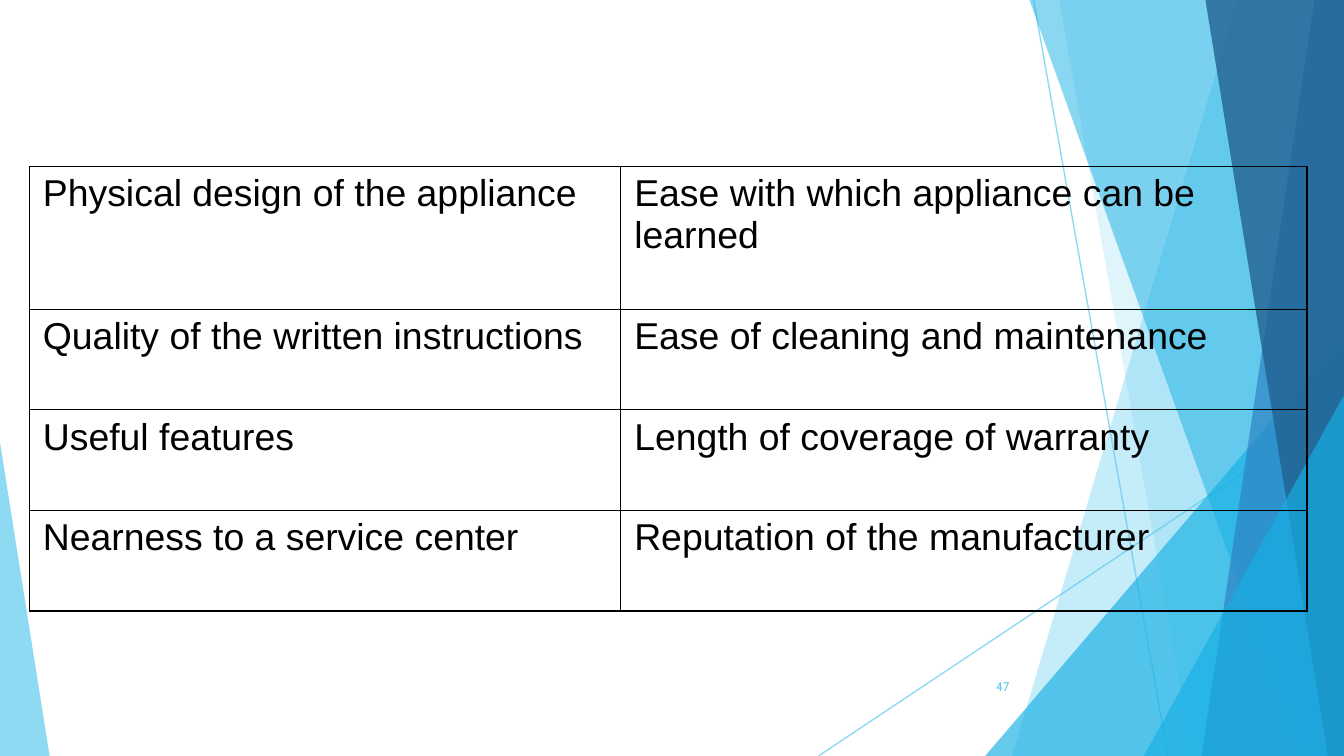
"""Build a slide with an appliance buying checklist over a faceted background."""
from dataclasses import dataclass

from lxml.etree import SubElement
from pptx import Presentation
from pptx.dml.color import RGBColor as Rgb
from pptx.enum.shapes import MSO_CONNECTOR as Connector
from pptx.enum.shapes import MSO_SHAPE as Shape
from pptx.enum.text import MSO_ANCHOR as Anchor
from pptx.enum.text import PP_ALIGN as Align
from pptx.oxml.ns import qn
from pptx.util import Pt


@dataclass(frozen=True)
class Theme:
    sky: str = "5FCBEF"
    cyan: str = "17B0E4"
    blue: str = "2E83C3"
    navy: str = "226292"
    ink: str = "000000"
    body_font: str = "Arial"
    body_size: float = 20
    number_font: str = "Cabin"
    number_size: float = 6.8
    rule: float = 0.75


@dataclass(frozen=True)
class Ray:
    start: tuple[float, float]
    end: tuple[float, float]


@dataclass(frozen=True)
class Band:
    top_left: float
    bottom_left: float
    color: str
    opacity: int


@dataclass(frozen=True)
class Wedge:
    left: float
    top: float
    width: float
    apex: float
    color: str
    opacity: int


THEME = Theme()
WIDTH, HEIGHT = 720, 405

RAYS = [
    Ray((553.7, 0), (625.7, HEIGHT)),
    Ray((WIDTH, 217.4), (438.5, HEIGHT)),
]
FACETS = [
    Band(663.1, 542.2, THEME.sky, 36),
    Band(567.4, 638.6, THEME.sky, 20),
    Wedge(527.8, 180, 192.2, 1, THEME.cyan, 66),
    Band(551.5, 697, THEME.cyan, 50),
    Band(704.2, 643.7, THEME.blue, 70),
    Band(645.8, 711.4, THEME.navy, 80),
    Wedge(612.7, 211.7, 107.3, 1, THEME.cyan, 66),
    Wedge(0, 236.9, 26.6, 0, THEME.sky, 70),
]
COLUMN_WIDTHS = [316.8, 367.6]
ROW_HEIGHTS = [76.6, 53.9, 53.9, 53.9]
CHECKLIST = [
    ("Physical design of the appliance", "Ease with which appliance can be learned"),
    ("Quality of the written instructions", "Ease of cleaning and maintenance"),
    ("Useful features", "Length of coverage of warranty"),
    ("Nearness to a service center", "Reputation of the manufacturer"),
]


def apply_format(target, values: dict) -> None:
    """Set each named attribute on the target."""
    for name, value in values.items():
        setattr(target, name, value)


def write(frame, text: str, font: str, size: float, color: str) -> None:
    """Put one formatted line of text in a text frame."""
    span = frame.paragraphs[0].add_run()
    span.text = text
    apply_format(span.font, {"name": font, "size": Pt(size), "bold": False})
    span.font.color.rgb = Rgb.from_string(color)


def set_opacity(shape, percent: int) -> None:
    """Make the colour of a shape partly transparent."""
    for color in shape._element.iter(qn("a:srgbClr")):
        SubElement(color, qn("a:alpha"), val=str(percent * 1000))


def draw_ray(page, ray: Ray) -> None:
    """Draw a thin translucent line."""
    points = [Pt(value) for value in (*ray.start, *ray.end)]
    line = page.shapes.add_connector(Connector.STRAIGHT, *points)
    line.line.width = Pt(THEME.rule)
    line.line.color.rgb = Rgb.from_string(THEME.sky)
    set_opacity(line, 70)
    SubElement(line._element.spPr, qn("a:effectLst"))


def draw_facet(page, facet: Band | Wedge) -> None:
    """Draw a translucent band or a right-angled wedge."""
    if isinstance(facet, Band):
        outline = page.shapes.build_freeform(Pt(facet.top_left), 0)
        corners = [(WIDTH, 0), (WIDTH, HEIGHT), (facet.bottom_left, HEIGHT)]
        outline.add_line_segments([(Pt(x), Pt(y)) for x, y in corners])
        shape = outline.convert_to_shape()
    else:
        area = (facet.left, facet.top, facet.width, HEIGHT - facet.top)
        shape = page.shapes.add_shape(Shape.ISOSCELES_TRIANGLE, *map(Pt, area))
        shape.adjustments[0] = facet.apex
    shape.shadow.inherit = False
    shape.fill.solid()
    shape.fill.fore_color.rgb = Rgb.from_string(facet.color)
    shape.line.fill.background()
    set_opacity(shape, facet.opacity)


def draw_number(page, text: str) -> None:
    """Draw the page number."""
    box = page.shapes.add_textbox(Pt(507.6), Pt(357.1), Pt(40.3), Pt(21.6))
    apply_format(box.text_frame, {"word_wrap": True, "vertical_anchor": Anchor.MIDDLE})
    write(box.text_frame, text, THEME.number_font, THEME.number_size, THEME.sky)
    box.text_frame.paragraphs[0].alignment = Align.RIGHT


def add_borders(cell) -> None:
    """Rule all four sides of a table cell."""
    properties = cell._tc.get_or_add_tcPr()
    for side in ("lnL", "lnR", "lnT", "lnB"):
        border = SubElement(properties, qn(f"a:{side}"), w=str(Pt(THEME.rule)))
        fill = SubElement(border, qn("a:solidFill"))
        SubElement(fill, qn("a:srgbClr"), val=THEME.ink)


def draw_checklist(page) -> None:
    """Draw the ruled table of buying points."""
    area = (15.8, 89.1, sum(COLUMN_WIDTHS), sum(ROW_HEIGHTS))
    table = page.shapes.add_table(
        len(ROW_HEIGHTS), len(COLUMN_WIDTHS), *map(Pt, area)
    ).table
    apply_format(table, {"first_row": False, "horz_banding": False})
    for column, width in zip(table.columns, COLUMN_WIDTHS):
        column.width = Pt(width)
    for row, height, texts in zip(table.rows, ROW_HEIGHTS, CHECKLIST):
        row.height = Pt(height)
        for cell, text in zip(row.cells, texts):
            add_borders(cell)
            cell.fill.background()
            write(cell.text_frame, text, THEME.body_font, THEME.body_size, THEME.ink)


def main() -> None:
    """Assemble and save the deck."""
    deck = Presentation()
    apply_format(deck, {"slide_width": Pt(WIDTH), "slide_height": Pt(HEIGHT)})
    page = deck.slides.add_slide(deck.slide_layouts[6])
    for ray in RAYS:
        draw_ray(page, ray)
    for facet in FACETS:
        draw_facet(page, facet)
    draw_number(page, "47")
    draw_checklist(page)
    deck.save("out.pptx")


if __name__ == "__main__":
    main()
